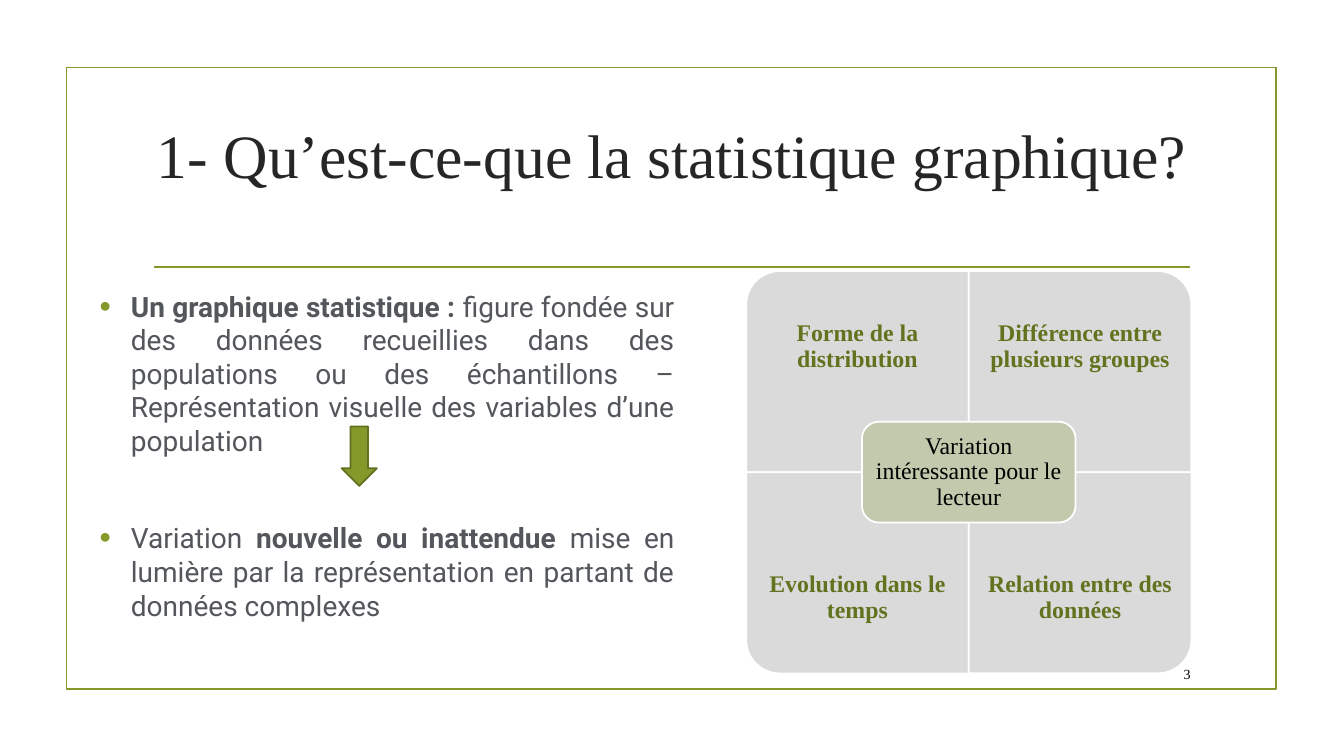
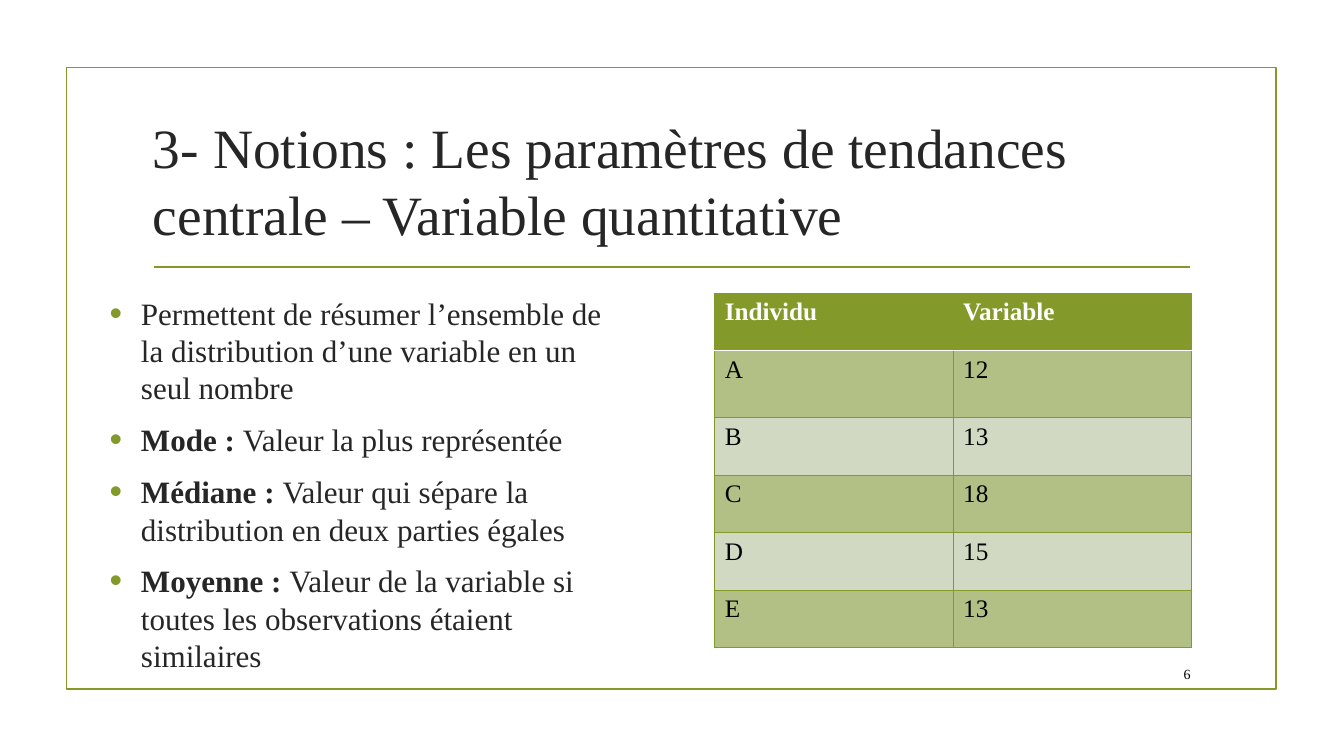
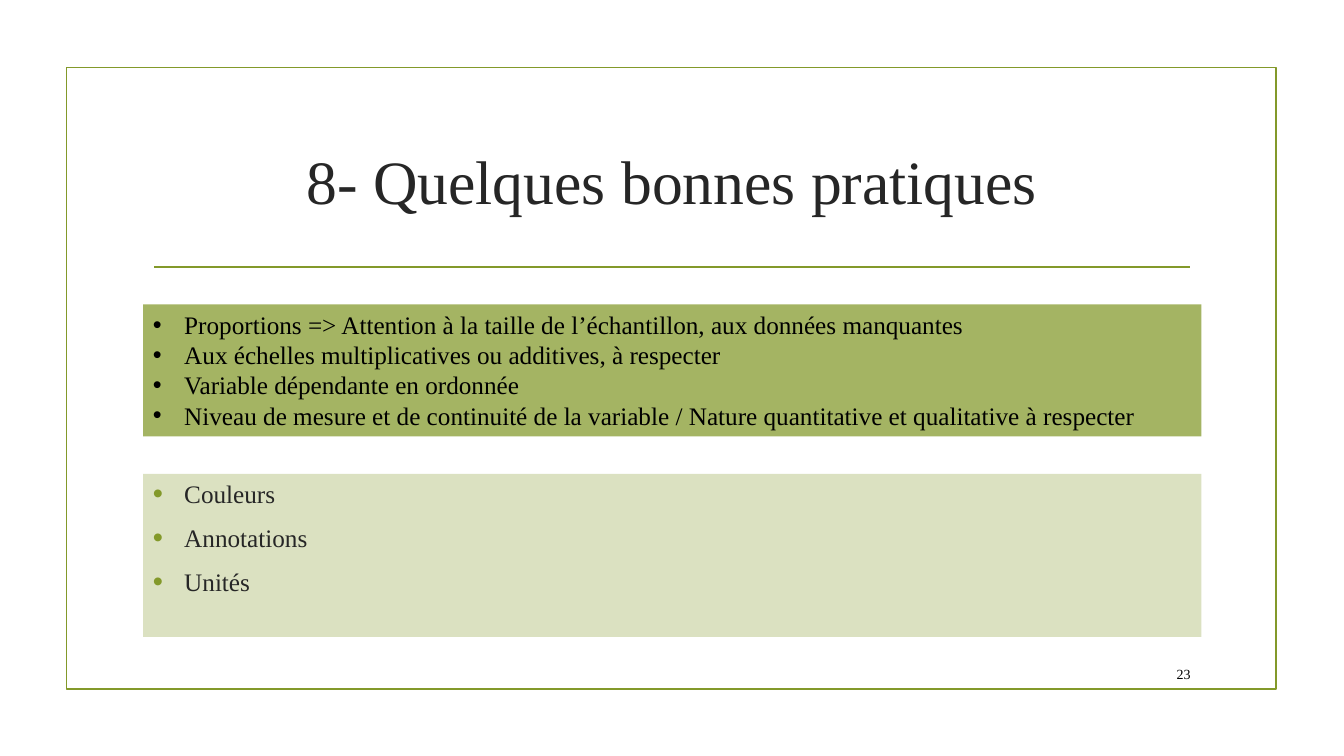
import pptx
import pptx.dml.color
import pptx.enum.shapes
import pptx.enum.text
import pptx.oxml.ns
import pptx.util
from lxml import etree

SHAPE = pptx.enum.shapes.MSO_SHAPE
ALIGN = pptx.enum.text.PP_ALIGN
ANCHOR = pptx.enum.text.MSO_ANCHOR
qn = pptx.oxml.ns.qn

GREEN, DARK_GREEN, LABEL_GREEN = "83992A", "61711F", "62731F"
INK, GREY_INK, BLACK, WHITE = "262626", "53565A", "000000", "FFFFFF"
TILE_GREY, CORE_GREEN = "DADADA", "C1CAAD"
BAND_DARK, BAND_LIGHT = "B2BF85", "D1D9C3"
SERIF, SANS = "Times New Roman", "Roboto"

# The slide is a grid of 96 columns by 54 rows of square cells
COLUMNS, ROWS = 96, 54
SLIDE_WIDTH, SLIDE_HEIGHT = pptx.util.Inches(13.33), pptx.util.Inches(7.5)


def rgb(hex_code):
    return pptx.dml.color.RGBColor.from_string(hex_code)


def add_node(parent, tag, **attributes):
    node = etree.SubElement(parent, qn(tag))
    for key, value in attributes.items():
        node.set(key, str(value))
    return node


class Deck:
    """Holds the style and the slide being filled."""

    def __init__(self):
        self.show = pptx.Presentation()
        self.show.slide_width, self.show.slide_height = SLIDE_WIDTH, SLIDE_HEIGHT
        self.slide = None

    def place(self, left, top, width, height):
        return (self.across(left), self.down(top),
                self.across(width), self.down(height))

    def across(self, columns):
        return int(SLIDE_WIDTH * columns / COLUMNS)

    def down(self, rows):
        return int(SLIDE_HEIGHT * rows / ROWS)

    # Shared parts of every slide
    def new_slide(self, title, number, title_top=7.7, size=44, align=ALIGN.CENTER):
        self.slide = self.show.slides.add_slide(self.show.slide_layouts[6])
        self.shape(SHAPE.RECTANGLE, (4.75, 4.82, 86.4, 44.42), line=GREEN)
        self.rule((11.02, 19.08), (85.03, 19.08))
        self.text((10.22, title_top, 75.6, 10.3), [title], size=size,
                  align=align, anchor=ANCHOR.MIDDLE)
        self.text((81.5, 47.02, 4.25, 2.23), [str(number)], size=10, color=BLACK,
                  align=ALIGN.RIGHT, anchor=ANCHOR.MIDDLE)

    def rule(self, start, end):
        rule = self.slide.shapes.add_connector(
            pptx.enum.shapes.MSO_CONNECTOR.STRAIGHT,
            self.across(start[0]), self.down(start[1]),
            self.across(end[0]), self.down(end[1]))
        rule.line.color.rgb = rgb(GREEN)
        rule.line.width = pptx.util.Pt(1.25)
        add_node(rule._element.spPr, "a:effectLst")

    def shape(self, preset, box, fill=None, line=None, turn=0, opacity=None):
        shape = self.slide.shapes.add_shape(preset, *self.place(*box))
        shape.shadow.inherit = False
        shape.rotation = turn
        if fill:
            shape.fill.solid()
            shape.fill.fore_color.rgb = rgb(fill)
        else:
            shape.fill.background()
        if opacity:
            color = shape._element.spPr.find(qn("a:solidFill"))[0]
            add_node(color, "a:alpha", val=opacity * 1000)
        if line:
            shape.line.color.rgb = rgb(line)
            shape.line.width = pptx.util.Pt(1.25)
        else:
            shape.line.fill.background()
        return shape

    def text(self, box, paragraphs, **style):
        holder = self.slide.shapes.add_textbox(*self.place(*box))
        self.set_text(holder.text_frame, paragraphs, **style)

    def set_text(self, frame, paragraphs, size=18, color=INK, font=SERIF, bold=False,
                 align=ALIGN.LEFT, anchor=ANCHOR.TOP, inset=None, bullet=None,
                 bullet_size=115, before=0, after=0, spacing=None):
        """Words between asterisks are bold."""
        frame.word_wrap = True
        frame.vertical_anchor = anchor
        if inset is not None:
            frame.margin_left = frame.margin_right = pptx.util.Inches(inset)
            frame.margin_top = frame.margin_bottom = pptx.util.Inches(inset)
        for index, words in enumerate(paragraphs):
            paragraph = frame.add_paragraph() if index else frame.paragraphs[0]
            paragraph.alignment = align
            paragraph.space_before = pptx.util.Pt(before)
            paragraph.space_after = pptx.util.Pt(after)
            if spacing:
                paragraph.line_spacing = spacing
            if bullet:
                self.bullet(paragraph, bullet, bullet_size)
            paragraph.font.size = pptx.util.Pt(size)
            paragraph.font.name = font
            paragraph.font.color.rgb = rgb(color)
            parts = words.split("*")
            if len(parts) == 1:
                paragraph.font.bold = bold
            for position, part in enumerate(parts):
                if part:
                    run = paragraph.add_run()
                    run.text = part
                    if len(parts) > 1:
                        run.font.bold = position % 2 == 1

    def bullet(self, paragraph, color, percent):
        properties = paragraph._p.get_or_add_pPr()
        indent = pptx.util.Inches(0.31)
        properties.set("marL", str(indent))
        properties.set("indent", str(-indent))
        add_node(add_node(properties, "a:buClr"), "a:srgbClr", val=color)
        add_node(properties, "a:buSzPct", val=percent * 1000)
        add_node(properties, "a:buFont", typeface="Arial")
        add_node(properties, "a:buChar", char="•")

    def bullets(self, box, items, size, **style):
        self.text(box, items, size=size, bullet=GREEN, before=0.2 * size,
                  after=6, **style)

    def panel(self, box, items, opacity, **style):
        panel = self.shape(SHAPE.RECTANGLE, box, fill=GREEN, opacity=opacity)
        self.set_text(panel.text_frame, items, **style)

    def matrix(self, center, tile, labels, core_size, core_label):
        """Four tiles, rounded at the outer corners, around a core."""
        (x, y), (width, height) = center, tile
        style = dict(size=17, align=ALIGN.CENTER, anchor=ANCHOR.MIDDLE, spacing=0.9)
        label_height = 0.75 * height
        for index, (label, turn) in enumerate(zip(labels, (270, 0, 180, 90))):
            row, column = divmod(index, 2)
            left, top = x + (column - 1) * width, y + (row - 1) * height
            # A quarter turn swaps the sides of the tile
            wide, high = (height, width) if turn in (90, 270) else (width, height)
            self.shape(SHAPE.ROUND_1_RECTANGLE,
                       (left + (width - wide) / 2, top + (height - high) / 2, wide, high),
                       fill=TILE_GREY, line=WHITE, turn=turn)
            self.text((left, top + row * (height - label_height), width, label_height),
                      [label], color=LABEL_GREEN, bold=True, inset=0.13, **style)
        core_width, core_height = core_size
        core = self.shape(SHAPE.ROUNDED_RECTANGLE,
                          (x - core_width / 2, y - core_height / 2, *core_size),
                          fill=CORE_GREEN, line=WHITE)
        self.set_text(core.text_frame, [core_label], color=BLACK, inset=0.07, **style)

    def table(self, left, top, column_width, row_heights, rows):
        columns = len(rows[0])
        table = self.slide.shapes.add_table(
            len(rows), columns,
            *self.place(left, top, column_width * columns, sum(row_heights))).table
        table.horz_banding = False
        for column in table.columns:
            column.width = self.across(column_width)
        for r, (values, height) in enumerate(zip(rows, row_heights)):
            table.rows[r].height = self.down(height)
            header = r == 0
            for c, value in enumerate(values):
                cell = table.cell(r, c)
                self.set_text(cell.text_frame, [value], bold=header,
                              color=WHITE if header else BLACK)
                self.borders(cell, top=WHITE if r == 1 else GREEN,
                             bottom=WHITE if header else GREEN)
                cell.fill.solid()
                cell.fill.fore_color.rgb = rgb(
                    GREEN if header else BAND_DARK if r % 2 else BAND_LIGHT)

    def borders(self, cell, top, bottom):
        properties = cell._tc.get_or_add_tcPr()
        for side, color in zip("LRTB", (GREEN, GREEN, top, bottom)):
            points = 1.25 if color == WHITE else 0.75
            edge = add_node(properties, f"a:ln{side}", w=pptx.util.Pt(points))
            add_node(add_node(edge, "a:solidFill"), "a:srgbClr", val=color)


def main():
    deck = Deck()

    # What statistical graphics are
    deck.new_slide("1- Qu’est-ce-que la statistique graphique?", 3, title_top=5.83)
    definition = dict(size=20, color=GREY_INK, font=SANS, align=ALIGN.JUSTIFY,
                      bullet=GREEN, after=6)
    deck.text((6.41, 20.3, 42.48, 16), [
        "*Un graphique statistique : *figure fondée sur des données recueillies dans "
        "des populations ou des échantillons – Représentation visuelle des variables "
        "d’une population"], before=4, **definition)
    deck.text((6.41, 36.85, 42.48, 10.16), [
        "Variation *nouvelle ou inattendue *mise en lumière par la représentation "
        "en partant de données complexes"], before=4, **definition)
    deck.matrix((69.2, 33.73), (15.9, 14.37),
                ["Forme de la distribution", "Différence entre plusieurs groupes",
                 "Evolution dans le temps", "Relation entre des données"],
                (15.26, 7.2), "Variation intéressante pour le lecteur")
    deck.shape(SHAPE.DOWN_ARROW, (24.4, 30.46, 2.52, 4.25), fill=GREEN, line=DARK_GREEN)

    # Central tendency
    deck.new_slide("3- Notions : Les paramètres de tendances centrale – "
                   "Variable quantitative", 6, size=39.6, align=ALIGN.LEFT)
    deck.bullets((7.13, 20.66, 37.8, 26.14), [
        "Permettent de résumer l’ensemble de la distribution d’une variable "
        "en un seul nombre",
        "*Mode : *Valeur la plus représentée",
        "*Médiane : *Valeur qui sépare la distribution en deux parties égales",
        "*Moyenne : *Valeur de la variable si toutes les observations étaient "
        "similaires"], size=22.2)
    deck.table(51.05, 20.95, 17.03, [4.1, 4.8] + [4.1] * 4, [
        ("Individu", "Variable"), ("A", "12"), ("B", "13"),
        ("C", "18"), ("D", "15"), ("E", "13")])

    # Good practice
    deck.new_slide("8- Quelques bonnes pratiques", 23)
    deck.panel((10.22, 33.84, 75.6, 11.66), ["Couleurs", "Annotations", "Unités"],
               opacity=29, bullet=GREEN, before=3.6, after=6)
    deck.panel((10.22, 21.74, 75.6, 9.43), [
        "Proportions => Attention à la taille de l’échantillon, aux données manquantes",
        "Aux échelles multiplicatives ou additives, à respecter",
        "Variable dépendante en ordonnée",
        "Niveau de mesure et de continuité de la variable / Nature quantitative "
        "et qualitative à respecter"],
        opacity=73, color=BLACK, bullet=BLACK, bullet_size=100)

    deck.show.save("out.pptx")


if __name__ == "__main__":
    main()
